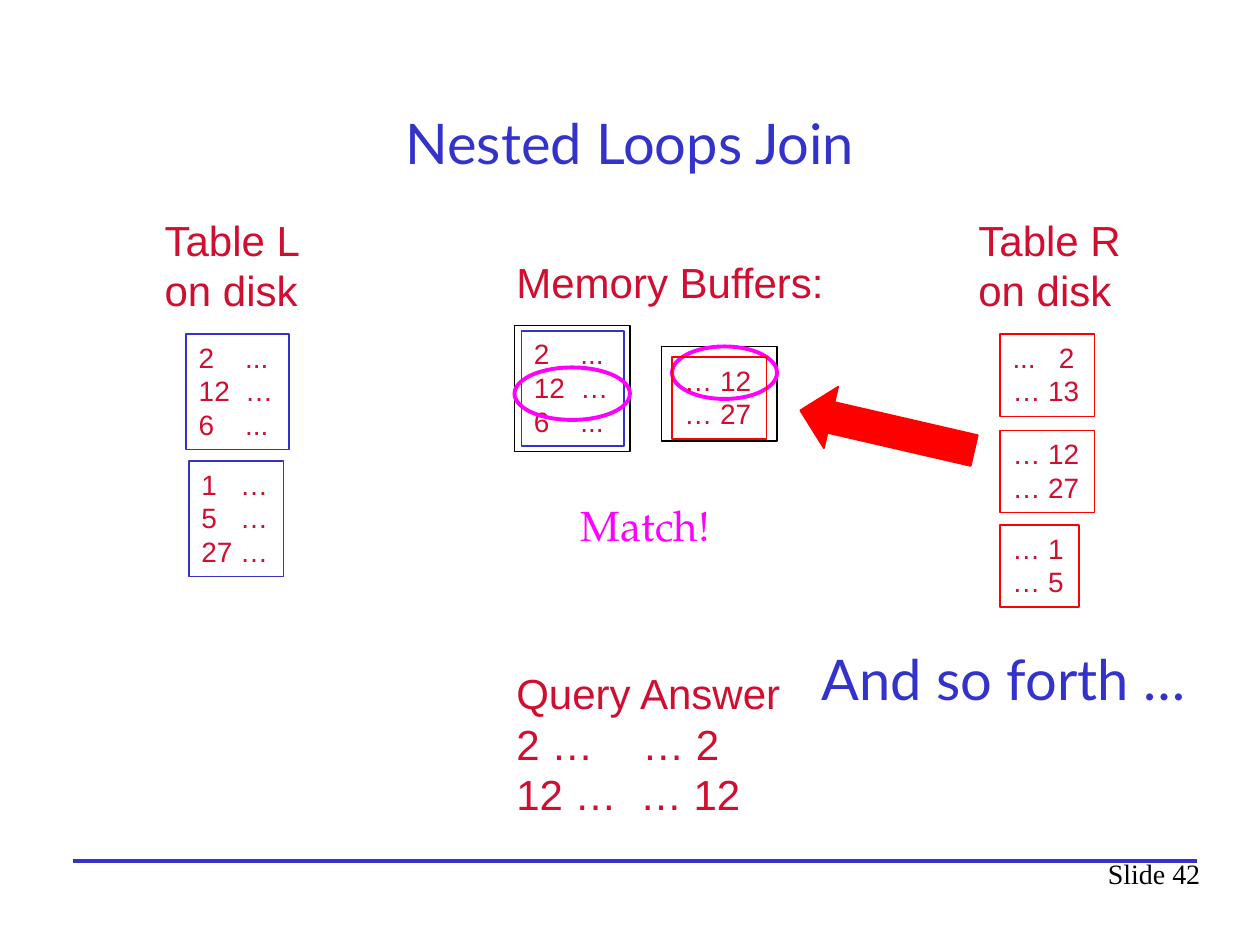
from pptx import Presentation
from pptx.dml.color import RGBColor
from pptx.enum.shapes import MSO_CONNECTOR as Connector, MSO_SHAPE as Shape
from pptx.enum.text import MSO_ANCHOR as Anchor, PP_ALIGN as Align
from pptx.util import Pt
from lxml import etree

COLORS = {name: RGBColor.from_string(value) for name, value in {
    "blue": "3333CC", "crimson": "CF0E30", "red": "FF0000",
    "magenta": "FF00FF", "black": "000000"}.items()}

presentation = Presentation()
presentation.slide_width, presentation.slide_height = Pt(720), Pt(540)
slide = presentation.slides.add_slide(presentation.slide_layouts[5])


def write(shape, text, font="Arial", size=24, color="crimson",
          align=Align.LEFT, anchor=Anchor.TOP, wrap=False):
    frame = shape.text_frame
    frame.text = text
    frame.word_wrap, frame.vertical_anchor = wrap, anchor
    style = {"name": font, "size": Pt(size)}
    for paragraph in frame.paragraphs:
        paragraph.alignment = align
        for run in paragraph.runs:
            for key, value in style.items():
                setattr(run.font, key, value)
            run.font.color.rgb = COLORS[color]


def draw(kind, box, line, width=1, fill=None):
    shape = slide.shapes.add_shape(kind, *map(Pt, box))
    shape.shadow.inherit = False
    if fill:
        shape.fill.solid()
        shape.fill.fore_color.rgb = COLORS[fill]
    else:
        shape.fill.background()
    shape.line.color.rgb = COLORS[line]
    shape.line.width = Pt(width)
    return shape


# Footer rule and slide number
rule = slide.shapes.add_connector(Connector.STRAIGHT, Pt(42), Pt(492), Pt(684), Pt(492))
rule.line.color.rgb = COLORS["blue"]
rule.line.width = Pt(2.25)
etree.SubElement(rule.element.spPr,
                 "{http://schemas.openxmlformats.org/drawingml/2006/main}effectLst")

# Title
heading = {"font": "Lato", "size": 32, "color": "blue", "align": Align.CENTER,
           "anchor": Anchor.MIDDLE, "wrap": True}
title = slide.shapes.title
for key, value in {"left": 54, "top": 48, "width": 612, "height": 66}.items():
    setattr(title, key, Pt(value))
write(title, "Nested Loops Join", **heading)

# Labels
labels = [
    ((626, 486, 70.5, 26.5), "Slide 42",
     {"font": "Times New Roman", "size": 16, "color": "black"}),
    ((87, 119, 94.5, 65), "Table L\non disk", {}),
    ((552, 119, 98.5, 65), "Table R\non disk", {}),
    ((288, 143, 191, 36), "Memory Buffers:", {}),
    ((288, 378, 166.5, 93.5), "Query Answer\n2 … \t… 2\n12 …  … 12", {}),
    ((324.5, 282, 88.5, 36), "Match!",
     {"font": "TeX Gyre Pagella", "color": "magenta", "align": Align.CENTER}),
    ((419, 351.5, 317.5, 72), "And so forth … ", heading),
]
for box, text, style in labels:
    write(slide.shapes.add_textbox(*map(Pt, box)), text, **style)

# Memory buffer frames
for frame_box in [(294, 186, 66, 72), (378, 198, 66, 54)]:
    draw(Shape.RECTANGLE, frame_box, "black")

# Pages on disk, and the L page in its buffer
first_page = "2    ...\n12  …\n6    ..."
matching_page = "… 12\n… 27"
pages = [
    ((106.5, 191, 58.5, 66), "blue", first_page),
    ((108, 263.5, 54, 66), "blue", "1   …\n5   …\n27 …"),
    ((571.5, 191, 54, 47), "red", "...   2\n… 13"),
    ((571.5, 246, 54, 47), "red", matching_page),
    ((571.5, 300, 45, 47), "red", "… 1\n… 5"),
    ((298, 189, 58.5, 66), "blue", first_page),
]
for box, line, text in pages:
    write(draw(Shape.RECTANGLE, box, line), text, size=16)

# Rings around the matching rows, under the R page in its buffer
for ring_box in [(294, 210, 66, 30), (384, 198, 60, 30)]:
    draw(Shape.OVAL, ring_box, "magenta", 2.25)
write(draw(Shape.RECTANGLE, (384, 204, 54, 47), "red"), matching_page, size=16)

# Arrow from the R page into memory
arrow = draw(Shape.LEFT_ARROW, (456, 228, 102, 36), "red", fill="red")
arrow.rotation = 13

presentation.save("out.pptx")
